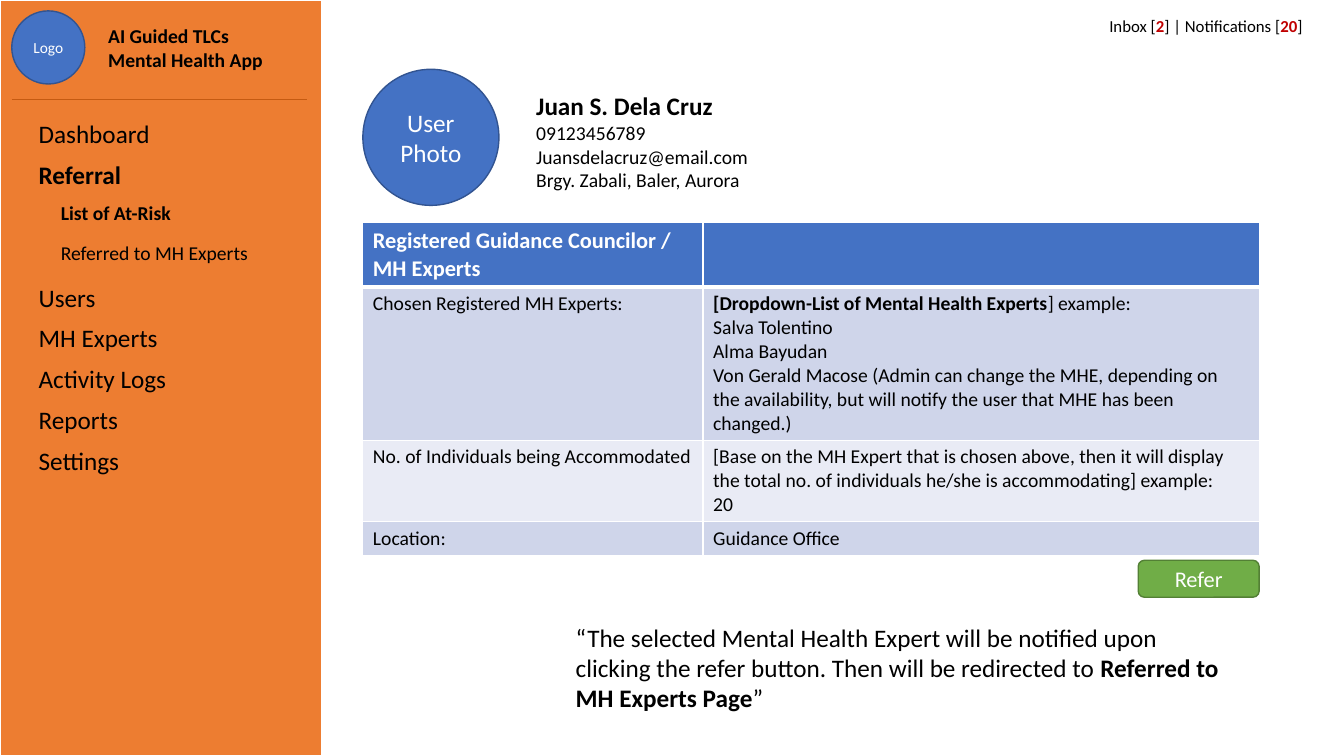
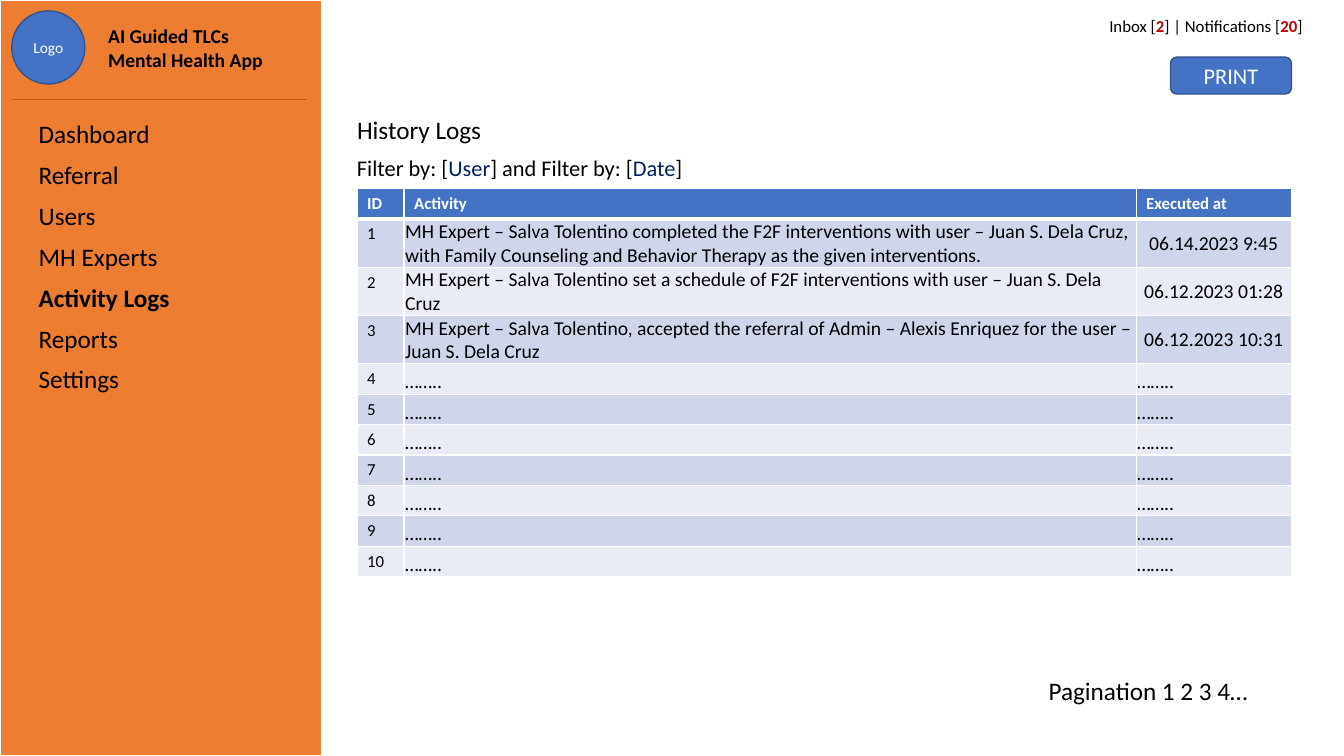
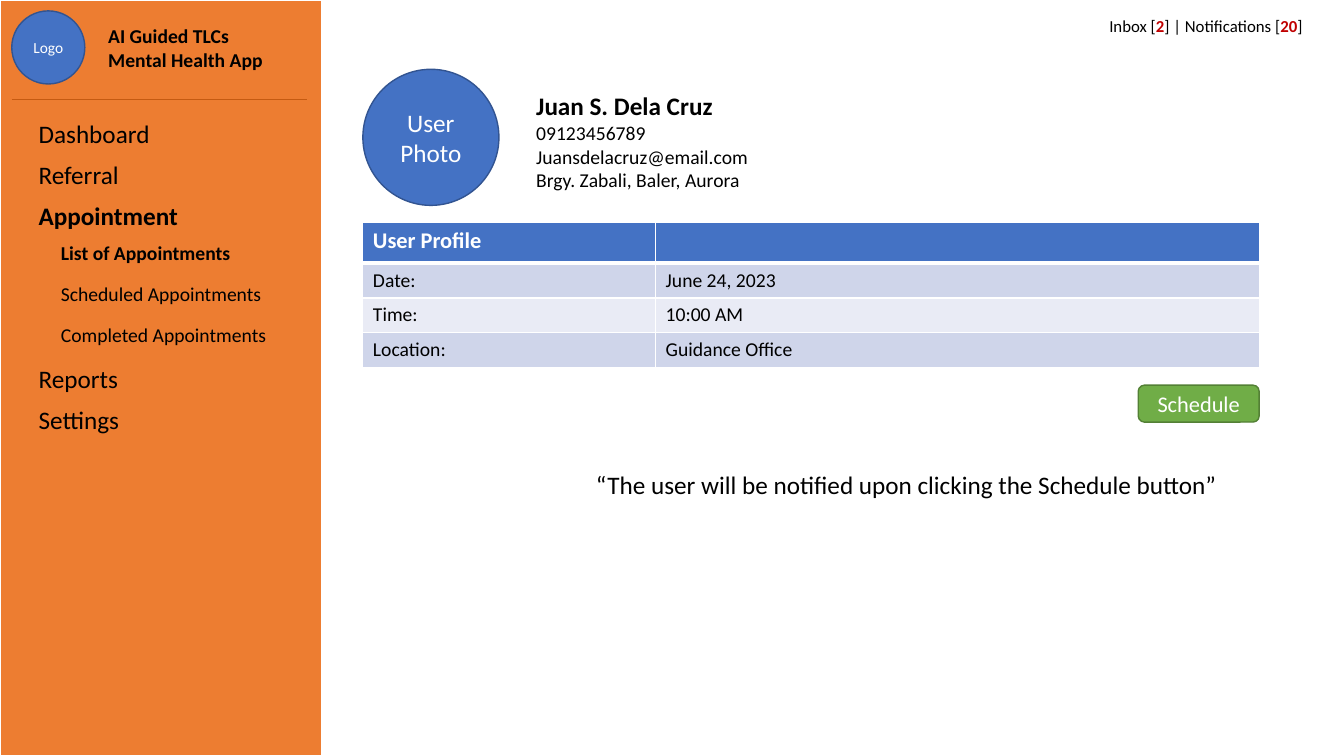
from lxml.etree import SubElement
from pptx import Presentation
from pptx.dml.color import RGBColor
from pptx.enum.shapes import MSO_CONNECTOR, MSO_SHAPE
from pptx.enum.text import MSO_ANCHOR, MSO_AUTO_SIZE, PP_ALIGN
from pptx.oxml.ns import qn
from pptx.util import Inches, Pt

ORANGE = RGBColor(0xED, 0x7D, 0x31)
RUST = RGBColor(0xC5, 0x5A, 0x11)
BLUE = RGBColor(0x44, 0x72, 0xC4)
BLUE_EDGE = RGBColor(0x32, 0x54, 0x91)
GREEN = RGBColor(0x70, 0xAD, 0x47)
GREEN_EDGE = RGBColor(0x53, 0x80, 0x35)
NAVY = RGBColor(0x00, 0x20, 0x60)
RED = RGBColor(0xC0, 0x00, 0x00)
BLACK = RGBColor(0x00, 0x00, 0x00)
WHITE = RGBColor(0xFF, 0xFF, 0xFF)
BANDS = (RGBColor(0xCF, 0xD5, 0xEA), RGBColor(0xE9, 0xEB, 0xF5))

FONT = "Calibri"
COLUMNS, ROWS = 160, 90
PLAIN_TABLE = "{2D5ABB26-0587-4C30-8999-92F81FD0307C}"
TITLE_ONLY, BLANK = 5, 6


def bold(text, **style):
    return text, {"bold": True, **style}


class Deck:
    def __init__(self):
        self.prs = Presentation()
        self.prs.slide_width = Inches(13.33)
        self.prs.slide_height = Inches(7.5)
        self.s = None

    def x(self, columns):
        return round(self.prs.slide_width * columns / COLUMNS)

    def y(self, rows):
        return round(self.prs.slide_height * rows / ROWS)

    def box(self, left, top, width, height):
        return self.x(left), self.y(top), self.x(width), self.y(height)

    def set_text(self, tf, paragraphs, size, color=BLACK, bold=False, align=None):
        for i, parts in enumerate(paragraphs):
            p = tf.paragraphs[0] if i == 0 else tf.add_paragraph()
            p.alignment = align
            for part in [parts] if isinstance(parts, str) else parts:
                text, style = (part, {}) if isinstance(part, str) else part
                r = p.add_run()
                r.text = text
                r.font.name = FONT
                r.font.size = Pt(style.get("size", size))
                r.font.bold = style.get("bold", bold)
                r.font.color.rgb = style.get("color", color)

    def shape(self, kind, area, fill, edge, weight=1, label=None, size=16):
        sp = self.s.shapes.add_shape(kind, *self.box(*area))
        sp.shadow.inherit = False
        sp.fill.solid()
        sp.fill.fore_color.rgb = fill
        sp.line.color.rgb = edge
        sp.line.width = Pt(weight)
        if label:
            tf = sp.text_frame
            tf.margin_left = tf.margin_right = tf.margin_top = tf.margin_bottom = 0
            tf.word_wrap = True
            tf.vertical_anchor = MSO_ANCHOR.MIDDLE
            self.set_text(tf, [label], size, WHITE, align=PP_ALIGN.CENTER)

    def circle(self, left, top, diameter, label, size):
        self.shape(MSO_SHAPE.OVAL, (left, top, diameter, diameter),
                   BLUE, BLUE_EDGE, label=label, size=size)

    def button(self, left, top, label, fill=GREEN, edge=GREEN_EDGE):
        self.shape(MSO_SHAPE.ROUNDED_RECTANGLE, (left, top, 14.4, 4.4),
                   fill, edge, label=label)

    def text(self, area, paragraphs, size=18, flush=False, **style):
        sp = self.s.shapes.add_textbox(*self.box(*area))
        tf = sp.text_frame
        tf.word_wrap = True
        tf.auto_size = MSO_AUTO_SIZE.SHAPE_TO_FIT_TEXT
        if flush:
            tf.margin_left = 0
        self.set_text(tf, paragraphs, size, **style)

    def title(self, area, text):
        sp = self.s.shapes.title
        sp.left, sp.top, sp.width, sp.height = self.box(*area)
        tf = sp.text_frame
        tf.word_wrap = True
        tf.auto_size = MSO_AUTO_SIZE.NONE
        tf.vertical_anchor = MSO_ANCHOR.TOP
        tf.margin_left = 0
        self.set_text(tf, [text], 18, align=PP_ALIGN.LEFT)

    def rule(self, left, right, top):
        line = self.s.shapes.add_connector(
            MSO_CONNECTOR.STRAIGHT, self.x(left), self.y(top), self.x(right), self.y(top))
        line.line.color.rgb = RUST
        line.line.width = Pt(0.5)
        SubElement(line._element.spPr, qn("a:effectLst"))

    def grid(self, left, top, widths, heights):
        frame = self.s.shapes.add_table(
            len(heights), len(widths), *self.box(left, top, sum(widths), sum(heights)))
        for style in frame._element.iter(qn("a:tableStyleId")):
            style.text = PLAIN_TABLE
        table = frame.table
        table.first_row = table.horz_banding = False
        for column, width in zip(table.columns, widths):
            column.width = self.x(width)
        for row, height in zip(table.rows, heights):
            row.height = self.y(height)
        return table

    def paint(self, cell, color, bottom):
        tc_pr = cell._tc.get_or_add_tcPr()
        for side, weight in (("L", 1), ("R", 1), ("T", 1), ("B", bottom)):
            ln = SubElement(tc_pr, qn(f"a:ln{side}"), w=str(Pt(weight)))
            fill = SubElement(ln, qn("a:solidFill"))
            SubElement(fill, qn("a:srgbClr"), val=str(WHITE))
        cell.fill.solid()
        cell.fill.fore_color.rgb = color

    def banded(self, left, top, widths, heights, header, header_size):
        table = self.grid(left, top, widths, heights)
        for i, row in enumerate(table.rows):
            for cell in row.cells:
                self.paint(cell, BANDS[(i - 1) % 2] if i else BLUE, 1 if i else 3)
        for cell, label in zip(table.rows[0].cells, header):
            if label:
                self.set_text(cell.text_frame, [label], header_size, WHITE, bold=True)
        return table

    def menu(self, items, active):
        table = self.grid(3.4, 13.65, [31.7], [4.86] * len(items))
        for i, item in enumerate(items):
            nested = item.startswith(">")
            label = item.lstrip(">")
            cell = table.cell(i, 0)
            self.set_text(cell.text_frame, [label], 14 if nested else 18, bold=label in active)
            if nested:
                p = cell.text_frame.paragraphs[0]
                p._p.get_or_add_pPr().set("marL", str(Inches(0.22)))

    def page(self, items, active, layout=BLANK):
        self.s = self.prs.slides.add_slide(self.prs.slide_layouts[layout])
        self.shape(MSO_SHAPE.RECTANGLE, (0, 0, 38.3, ROWS), ORANGE, WHITE, 1.5)
        self.menu(items, active)
        self.circle(1.4, 1.3, 8.7, "Logo", 11)
        self.text((11.7, 2.3, 22, 6.8), ["AI Guided TLCs Mental Health App"], 14, bold=True)
        self.rule(1.4, 36.6, 11.85)
        self.text((124.35, 1.3, 31.9, 3.6), [[
            "Inbox [", bold("2", color=RED), "] | Notifications [",
            bold("20", color=RED), "]"]], 12, align=PP_ALIGN.RIGHT)

    def user(self):
        self.circle(43.2, 8.25, 16.2, "User Photo", 18)
        self.text((62.65, 10.2, 41.3, 13.3), [
            [bold("Juan S. Dela Cruz", size=18)], "09123456789",
            "Juansdelacruz@email.com", "Brgy. Zabali, Baler, Aurora"], 14)

    def details(self, heading, widths, heights, rows):
        table = self.banded(43.2, 26.5, widths, heights, [heading, ""], 16)
        for i, (label, value) in enumerate(rows, 1):
            self.set_text(table.cell(i, 0).text_frame, [label], 14)
            self.set_text(table.cell(i, 1).text_frame, value, 14)

    def log(self, left, top, widths, heights, header, rows):
        table = self.banded(left, top, widths, heights, header, 12)
        for i, (activity, time) in enumerate(rows, 1):
            self.set_text(table.cell(i, 0).text_frame, [str(i)], 12)
            timed = time[0].isdigit()
            for j, text in enumerate((activity, time), 1):
                cell = table.cell(i, j)
                cell.margin_left = cell.margin_right = cell.margin_top = Inches(0.01)
                cell.margin_bottom = 0
                centred = timed and j == 2
                cell.vertical_anchor = MSO_ANCHOR.MIDDLE if centred else MSO_ANCHOR.BOTTOM
                self.set_text(cell.text_frame, [text], 14,
                              align=PP_ALIGN.CENTER if centred else None)


def referral(deck):
    deck.page(["Dashboard", "Referral", ">List of At-Risk", ">Referred to MH Experts",
               "Users", "MH Experts", "Activity Logs", "Reports", "Settings"],
              ["Referral", "List of At-Risk"])
    deck.user()
    deck.details("Registered Guidance Councilor / MH Experts", [40.5, 66.2],
                 [7.7, 18.2, 9.7, 4.1], [
        ("Chosen Registered MH Experts:", [
            [bold("[Dropdown-List of Mental Health Experts"), "] example:"],
            "Salva Tolentino",
            "Alma Bayudan",
            "Von Gerald Macose (Admin can change the MHE, depending on the availability, "
            "but will notify the user that MHE has been changed.)"]),
        ("No. of Individuals being Accommodated", [
            "[Base on the MH Expert that is chosen above, then it will display the total "
            "no. of individuals he/she is accommodating] example:",
            "20"]),
        ("Location:", ["Guidance Office"])])
    deck.button(135.5, 66.7, "Refer")
    deck.text((67.35, 73.45, 80.2, 12.1), [[
        "“The selected Mental Health Expert will be notified upon clicking the refer "
        "button. Then will be redirected to ",
        bold("Referred to MH Experts Page"), "”"]])


def activity_logs(deck):
    deck.page(["Dashboard", "Referral", "Users", "MH Experts", "Activity Logs",
               "Reports", "Settings"], ["Activity Logs"], TITLE_ONLY)
    deck.button(139.35, 6.8, "PRINT", BLUE, BLUE_EDGE)
    deck.title((42.5, 13, 78.1, 4.8), "History Logs")
    deck.text((42.5, 17.8, 112.3, 4.4), [[
        "Filter by: [", ("User", {"color": NAVY}), "] and Filter by: [",
        ("Date", {"color": NAVY}), "]"]], 16, flush=True)
    entries = [
        ("MH Expert – Salva Tolentino completed the F2F interventions with user – Juan S. "
         "Dela Cruz, with Family Counseling and Behavior Therapy as the given interventions.",
         "06.14.2023 9:45"),
        ("MH Expert – Salva Tolentino set a schedule of F2F interventions with user – "
         "Juan S. Dela Cruz", "06.12.2023 01:28"),
        ("MH Expert – Salva Tolentino, accepted the referral of Admin – Alexis Enriquez "
         "for the user – Juan S. Dela Cruz", "06.12.2023 10:31")]
    deck.log(42.5, 22.45, [5.6, 87.15, 18.5], [3.6] + [5.75] * 3 + [3.62] * 7,
             ["ID", "Activity", "Executed at"], entries + [("……..", "……..")] * 7)
    deck.text((123.65, 79.8, 31.2, 4.8), ["Pagination 1 2 3 4…"])


def appointment(deck):
    deck.page(["Dashboard", "Referral", "Appointment", ">List of Appointments",
               ">Scheduled Appointments", ">Completed Appointments", "Reports", "Settings"],
              ["Appointment", "List of Appointments"])
    deck.user()
    deck.details("User Profile", [34.85, 71.85], [4.85] + [4.13] * 3, [
        ("Date:", ["June 24, 2023"]),
        ("Time:", ["10:00 AM"]),
        ("Location:", ["Guidance Office"])])
    deck.button(135.5, 45.85, "Schedule")
    deck.text((69.75, 55.3, 80.2, 4.8),
              ["“The user will be notified upon clicking the Schedule button”"])


def main():
    deck = Deck()
    for build in (referral, activity_logs, appointment):
        build(deck)
    deck.prs.save("out.pptx")


if __name__ == "__main__":
    main()
